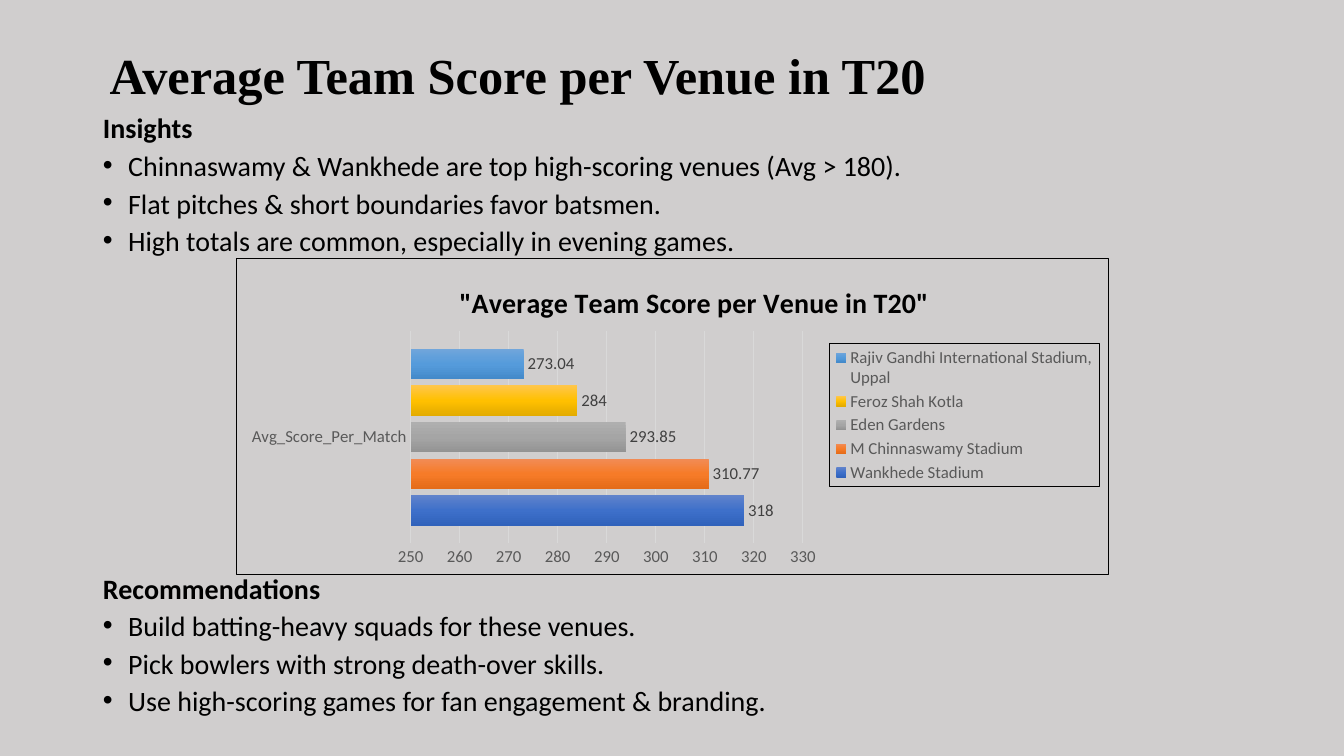
import copy

import pptx
import pptx.chart.data
import pptx.dml.color
import pptx.enum.chart
import pptx.enum.text
import pptx.oxml
import pptx.oxml.ns
import pptx.util

Cm, Pt = pptx.util.Cm, pptx.util.Pt
qn, nsdecls = pptx.oxml.ns.qn, pptx.oxml.ns.nsdecls
rgb = pptx.dml.color.RGBColor.from_string


def place(el, x, y, w=None, h=None):
    """Give a chart part a manual layout, in fractions of the chart."""
    old = el.find(qn("c:layout"))
    if old is not None:
        el.remove(old)
    target = '<c:layoutTarget val="inner"/>' if el.tag == qn("c:plotArea") else ""
    modes = '<c:xMode val="edge"/><c:yMode val="edge"/>'
    sizes = "".join(f'<c:{k} val="{v}"/>' for k, v in zip("xywh", (x, y, w, h)) if v is not None)
    layout = pptx.oxml.parse_xml(
        f'<c:layout {nsdecls("c")}><c:manualLayout>{target}{modes}{sizes}</c:manualLayout></c:layout>')
    overlay = el.find(qn("c:overlay"))
    if overlay is None:
        el.insert(0, layout)
    else:
        overlay.addprevious(layout)


def frame(color=None):
    """Return shape properties without fill, outlined if a colour is given."""
    paint = f'<a:solidFill><a:srgbClr val="{color}"/></a:solidFill>' if color else "<a:noFill/>"
    return pptx.oxml.parse_xml(
        f'<c:spPr {nsdecls("c", "a")}><a:noFill/><a:ln w="9525">{paint}</a:ln></c:spPr>')


prs = pptx.Presentation()
prs.slide_width, prs.slide_height = Cm(33.87), Cm(19.05)
s = prs.slides.add_slide(prs.slide_layouts[1])
s.background.fill.solid()
s.background.fill.fore_color.rgb = rgb("D0CECE")

# Title
title = s.shapes.title
title.left, title.top, title.width, title.height = Cm(2.51), Cm(1.02), Cm(29.21), Cm(1.88)
tf = title.text_frame
tf.text = "Average Team Score per Venue in T20"
tf.auto_size = pptx.enum.text.MSO_AUTO_SIZE.NONE
tf.vertical_anchor = pptx.enum.text.MSO_ANCHOR.MIDDLE
p = tf.paragraphs[0]
p.alignment = pptx.enum.text.PP_ALIGN.LEFT
p.line_spacing = 0.9
font = p.runs[0].font
font.name, font.size, font.bold = "Times New Roman", Pt(36), True
font.color.rgb = rgb("000000")

# Insights above the chart, recommendations below it
sections = [
    ("Insights", 10, [
        "Chinnaswamy & Wankhede are top high-scoring venues (Avg > 180).",
        "Flat pitches & short boundaries favor batsmen.",
        "High totals are common, especially in evening games."]),
    ("Recommendations", 231.5, [
        "Build batting-heavy squads for these venues.",
        "Pick bowlers with strong death-over skills.",
        "Use high-scoring games for fan engagement & branding."]),
]
lines = []
for heading, gap, points in sections:
    lines.append((heading, gap, True))
    lines += [(point, 10, False) for point in points]

body = s.placeholders[1]
body.left, body.top, body.width, body.height = Cm(2.34), Cm(2.9), Cm(29.21), Cm(15.7)
tf = body.text_frame
tf.text = "\n".join(text for text, _, _ in lines)
tf.auto_size = pptx.enum.text.MSO_AUTO_SIZE.NONE
for p, (_, gap, is_heading) in zip(tf.paragraphs, lines):
    p.line_spacing, p.space_before = 0.7, Pt(gap)
    font = p.runs[0].font
    font.name, font.size, font.bold = "Calibri", Pt(20), is_heading
    font.color.rgb = rgb("000000")
    indent = 0 if is_heading else Cm(0.635)
    bullet = "<a:buNone {}/>" if is_heading else '<a:buChar {} char="•"/>'
    pPr = p._p.get_or_add_pPr()
    pPr.set("marL", str(indent))
    pPr.set("indent", str(-indent))
    pPr.append(pptx.oxml.parse_xml(bullet.format(nsdecls("a"))))

# Chart
venues = [
    ("Wankhede Stadium", 318, ("6183CB", "3E70CA", "3062BB")),
    ("M Chinnaswamy Stadium", 310.77, ("F18C57", "F67B28", "E56C19")),
    ("Eden Gardens", 293.85, ("AFAFAF", "A5A5A5", "939393")),
    ("Feroz Shah Kotla", 284, ("FFC64B", "FFC000", "E3AB00")),
    ("Rajiv Gandhi International Stadium, Uppal", 273.04, ("71A6DB", "559BDB", "448ACA")),
]
data = pptx.chart.data.CategoryChartData()
data.categories = ["Avg_Score_Per_Match"]
for venue, score, _ in venues:
    data.add_series(venue, [score])
chart = s.shapes.add_chart(pptx.enum.chart.XL_CHART_TYPE.BAR_CLUSTERED,
                           Cm(5.94), Cm(6.5), Cm(22), Cm(8), data).chart
chart.font.name, chart.font.size = "Calibri", Pt(12)
chart.font.color.rgb = rgb("595959")

chart.has_title = True
tf = chart.chart_title.text_frame
tf.text = '"Average Team Score per Venue in T20"'
font = tf.paragraphs[0].runs[0].font
font.name, font.size, font.bold = "Calibri", Pt(20), True
font.color.rgb = rgb("000000")

chart.has_legend = True
legend = chart.legend
legend.position = pptx.enum.chart.XL_LEGEND_POSITION.RIGHT
legend.include_in_layout = False
legend.font.name, legend.font.size = "Calibri", Pt(12)
legend.font.color.rgb = rgb("595959")

plot = chart.plots[0]
plot.gap_width, plot.overlap, plot.vary_by_categories = 115, -20, False
for series, (_, _, shades) in zip(plot.series, venues):
    fill = series.format.fill
    fill.gradient()
    fill.gradient_angle = 270
    stops = series._element.find(".//" + qn("a:gsLst"))
    stops.insert(1, copy.deepcopy(stops[0]))
    for stop, position, shade in zip(fill.gradient_stops, (0, 0.5, 1), shades):
        stop.position = position
        stop.color.rgb = rgb(shade)
    labels = series.data_labels
    labels.show_value = True
    labels.position = pptx.enum.chart.XL_LABEL_POSITION.OUTSIDE_END
    labels.font.name, labels.font.size = "Calibri", Pt(12)
    labels.font.color.rgb = rgb("404040")

scores = chart.value_axis
scores.minimum_scale, scores.maximum_scale, scores.major_unit = 250, 330, 10
scores.format.line.fill.background()
scores.has_major_gridlines = True
chart.category_axis.has_major_gridlines = False
for line, width in ((scores.major_gridlines.format.line, 0.75),
                    (chart.category_axis.format.line, 1)):
    line.color.rgb = rgb("D9D9D9")
    line.width = Pt(width)
for axis in (scores, chart.category_axis):
    axis.major_tick_mark = axis.minor_tick_mark = pptx.enum.chart.XL_TICK_MARK.NONE

chart_space = chart._chartSpace
plot_area = chart_space.find(".//" + qn("c:plotArea"))
place(chart.chart_title._element, 0.25, 0.06)
place(plot_area, 0.2, 0.23, 0.45, 0.67)
place(legend._element, 0.68, 0.27, 0.31, 0.45)
plot_area.append(frame())
legend._element.find(qn("c:overlay")).addnext(frame("000000"))
chart_space.find(qn("c:chart")).addnext(frame("000000"))

prs.save("out.pptx")
